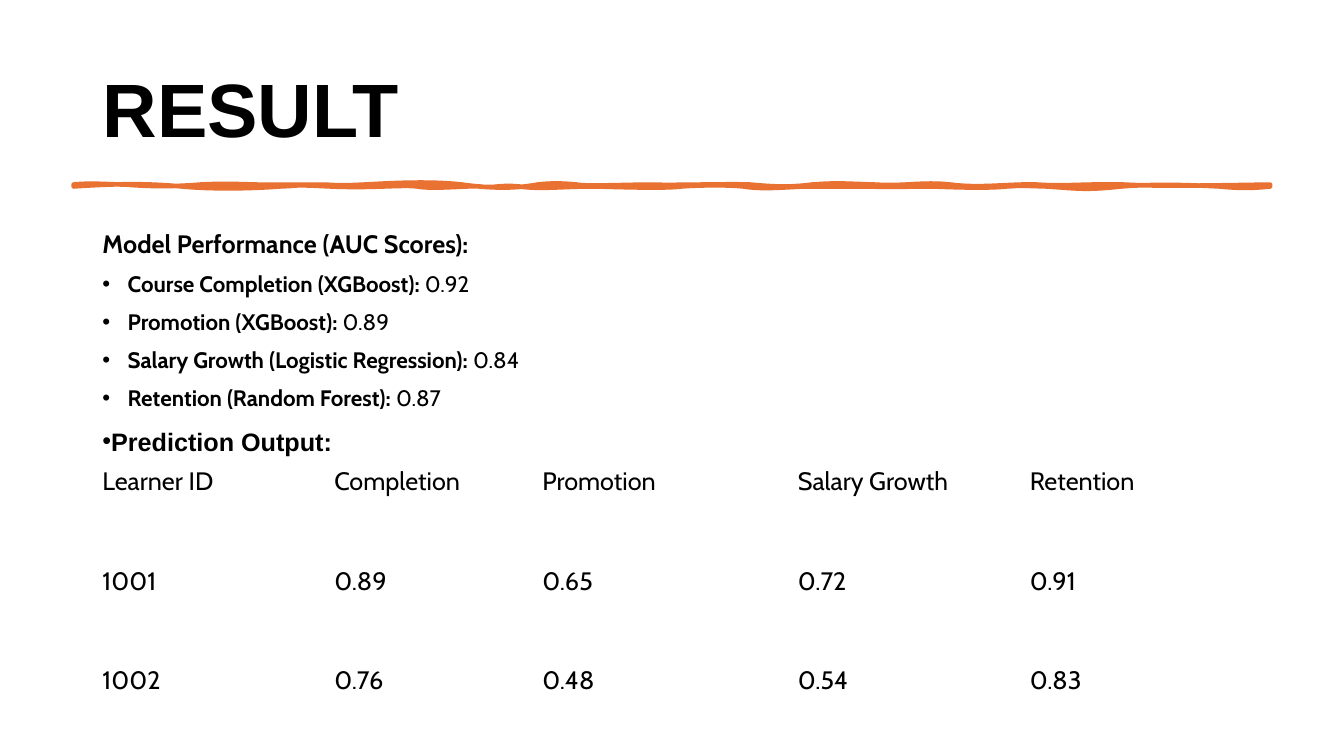
from typing import NamedTuple

from lxml import etree
from pptx import Presentation
from pptx.dml.color import RGBColor
from pptx.enum.text import MSO_ANCHOR, MSO_AUTO_SIZE, PP_ALIGN
from pptx.oxml.ns import qn
from pptx.util import Pt

MIDDLE, TOP, BOTTOM = MSO_ANCHOR.MIDDLE, MSO_ANCHOR.TOP, MSO_ANCHOR.BOTTOM
LEFT = PP_ALIGN.LEFT
NO_AUTOFIT = MSO_AUTO_SIZE.NONE

BLACK, ORANGE = "000000", "E97132"
HEADING_FONT, BODY_FONT = "Arial", "Cabin"
MARGIN_X, CONTENT_W = 66, 828


class Score(NamedTuple):
    model: str
    auc: str


class Wave(NamedTuple):
    """A curve between two knots; rises are measured from the edge's level."""
    handle1_x: float
    rise1: float
    handle2_x: float
    rise2: float
    end_x: float


SCORES = [
    Score("Course Completion (XGBoost):", "0.92"),
    Score("Promotion (XGBoost):", "0.89"),
    Score("Salary Growth (Logistic Regression):", "0.84"),
    Score("Retention (Random Forest):", "0.87"),
]

PREDICTIONS = [
    ["Learner ID", "Completion", "Promotion", "Salary Growth", "Retention"],
    ["1001", "0.89", "0.65", "0.72", "0.91"],
    ["1002", "0.76", "0.48", "0.54", "0.83"],
]
COLUMN_WIDTHS = [165.6, 148.6, 182.6, 165.6, 165.6]
ROW_HEIGHT = 71.1

# The hand-drawn rule: upper edge left to right, lower edge back again
RULE_LEFT, RULE_RIGHT = 52.6, 907.2
UPPER_Y, LOWER_Y = 131.8, 133.2
UPPER_EDGE = [
    Wave(64, -1.4, 80, 0, 89), Wave(98, 0.7, 117, 2.2, 143),
    Wave(168, -1.4, 181, 0.7, 204), Wave(228, 0, 221, 0, 232),
    Wave(243, 0.7, 246, 0.7, 260), Wave(274, -0.7, 305, -2.9, 330),
    Wave(356, 3.6, 372, 2.2, 384), Wave(395, -1.4, 405, -0.7, 412),
    Wave(418, 1.4, 450, 0, 465), Wave(480, 0.7, 521, -0.7, 536),
    Wave(551, 1.4, 563, 2.2, 580), Wave(598, -1.4, 603, -0.7, 625),
    Wave(647, 1.4, 658, -2.2, 679), Wave(700, 2.9, 721, -0.7, 741),
    Wave(760, 1.4, 776, -0.7, 803), Wave(829, 1.4, 863, 0.7, RULE_RIGHT),
]
LOWER_EDGE = [
    Wave(894, 1.4, 886, 1.4, 871), Wave(857, -0.7, 827, -2.2, 801),
    Wave(774, 2.9, 770, 1.4, 747), Wave(724, -0.7, 733, -0.7, 719),
    Wave(706, 1.4, 683, 0.7, 666), Wave(649, 0, 636, 0.7, 621),
    Wave(606, 0, 596, 0, 576), Wave(557, 0.7, 545, 2.2, 531),
    Wave(518, -1.4, 495, -0.7, 487), Wave(477, 1.4, 449, 0.7, 425),
    Wave(400, 0, 387, 2.2, 371), Wave(356, -1.4, 354, 1.4, 343),
    Wave(333, -0.7, 310, 2.2, 298), Wave(287, -1.4, 267, 1.4, 236),
    Wave(206, -1.4, 218, -0.7, 200), Wave(182, 1.4, 153, 2.2, 130),
    Wave(106, -2.2, 85, -2.2, RULE_LEFT),
]


def rgb(colour: str) -> RGBColor:
    return RGBColor.from_string(colour)


def add_run(paragraph, text: str, size: float, font: str = BODY_FONT,
            bold: bool = False) -> None:
    run = paragraph.add_run()
    run.text = text
    run.font.size = Pt(size)
    run.font.name = font
    run.font.bold = bold
    run.font.color.rgb = rgb(BLACK)


def set_bullet(paragraph, bullet: str = "", hang: float = 0) -> None:
    props = paragraph._p.get_or_add_pPr()
    props.set("marL", str(Pt(hang)))
    props.set("indent", str(-Pt(hang)))
    if bullet:
        font = etree.SubElement(props, qn("a:buFont"))
        font.set("typeface", HEADING_FONT)
        etree.SubElement(props, qn("a:buChar")).set("char", bullet)
    else:
        etree.SubElement(props, qn("a:buNone"))


def place(shape, top: float, height: float, anchor: MSO_ANCHOR,
          width: float = CONTENT_W):
    """Puts a text shape at the left margin and returns its frame."""
    shape.left, shape.top = Pt(MARGIN_X), Pt(top)
    shape.width, shape.height = Pt(width), Pt(height)
    frame = shape.text_frame
    frame.word_wrap = True
    frame.auto_size = NO_AUTOFIT
    frame.vertical_anchor = anchor
    return frame


def bend(segment, wave: Wave, level: float, left: int, top: int) -> None:
    """Turns a straight segment into the cubic curve of a wave."""
    segment.tag = qn("a:cubicBezTo")
    handles = [(wave.handle1_x, wave.rise1), (wave.handle2_x, wave.rise2)]
    for index, (x, rise) in enumerate(handles):
        handle = etree.Element(qn("a:pt"))
        handle.set("x", str(Pt(x) - left))
        handle.set("y", str(Pt(level + rise) - top))
        segment.insert(index, handle)


def add_rule(slide) -> None:
    upper = [(Pt(wave.end_x), Pt(UPPER_Y)) for wave in UPPER_EDGE]
    lower = [(Pt(wave.end_x), Pt(LOWER_Y)) for wave in LOWER_EDGE]
    builder = slide.shapes.build_freeform(Pt(RULE_LEFT), Pt(UPPER_Y))
    builder.add_line_segments(upper + [(Pt(RULE_RIGHT), Pt(LOWER_Y))] + lower)
    rule = builder.convert_to_shape()

    segments = list(rule._element.iter(qn("a:lnTo")))
    upper_count = len(UPPER_EDGE)
    edges = [(segments[:upper_count], UPPER_EDGE, UPPER_Y),
             (segments[upper_count + 1:], LOWER_EDGE, LOWER_Y)]
    for straight, waves, level in edges:
        for segment, wave in zip(straight, waves):
            bend(segment, wave, level, rule.left, rule.top)

    rule.shadow.inherit = False
    rule.fill.solid()
    rule.fill.fore_color.rgb = rgb(ORANGE)
    rule.line.color.rgb = rgb(ORANGE)
    rule.line.width = Pt(3.25)


def add_predictions(slide) -> None:
    table = slide.shapes.add_table(
        len(PREDICTIONS), len(COLUMN_WIDTHS), Pt(MARGIN_X), Pt(308.4),
        Pt(CONTENT_W), Pt(ROW_HEIGHT * len(PREDICTIONS))).table
    table.first_row = table.horz_banding = False
    for column, width in zip(table.columns, COLUMN_WIDTHS):
        column.width = Pt(width)
    for row, values in zip(table.rows, PREDICTIONS):
        row.height = Pt(ROW_HEIGHT)
        for cell, value in zip(row.cells, values):
            cell.fill.background()
            cell.vertical_anchor = MIDDLE
            add_run(cell.text_frame.paragraphs[0], value, 18)


def main() -> None:
    deck = Presentation()
    deck.slide_width, deck.slide_height = Pt(960), Pt(540)
    slide = deck.slides.add_slide(deck.slide_layouts[1])

    # Title and rule
    heading = place(slide.shapes.title, 29, 104, MIDDLE).paragraphs[0]
    heading.alignment = LEFT
    heading.line_spacing = 0.9
    add_run(heading, "RESULT", 54, HEADING_FONT, bold=True)
    add_rule(slide)

    # Model performance list
    performance = place(slide.placeholders[1], 162, 349, TOP)
    intro = performance.paragraphs[0]
    add_run(intro, "Model Performance (AUC Scores):", 18, bold=True)
    set_bullet(intro, hang=18)
    for score in SCORES:
        item = performance.add_paragraph()
        add_run(item, score.model, 16, bold=True)
        add_run(item, f" {score.auc}", 16)
        set_bullet(item, "•", hang=18)
    for paragraph in performance.paragraphs:
        paragraph.line_spacing = 0.9
        paragraph.space_before = Pt(10)

    # Prediction table and its caption
    add_predictions(slide)
    caption_box = slide.shapes.add_textbox(0, 0, 0, 0)
    caption_frame = place(caption_box, 170.6, 181.4, BOTTOM, width=306.7)
    caption_frame.margin_bottom = Pt(26)
    caption = caption_frame.paragraphs[0]
    add_run(caption, "Prediction Output:", 18, HEADING_FONT, bold=True)
    set_bullet(caption, "•")

    deck.save("out.pptx")


if __name__ == "__main__":
    main()
